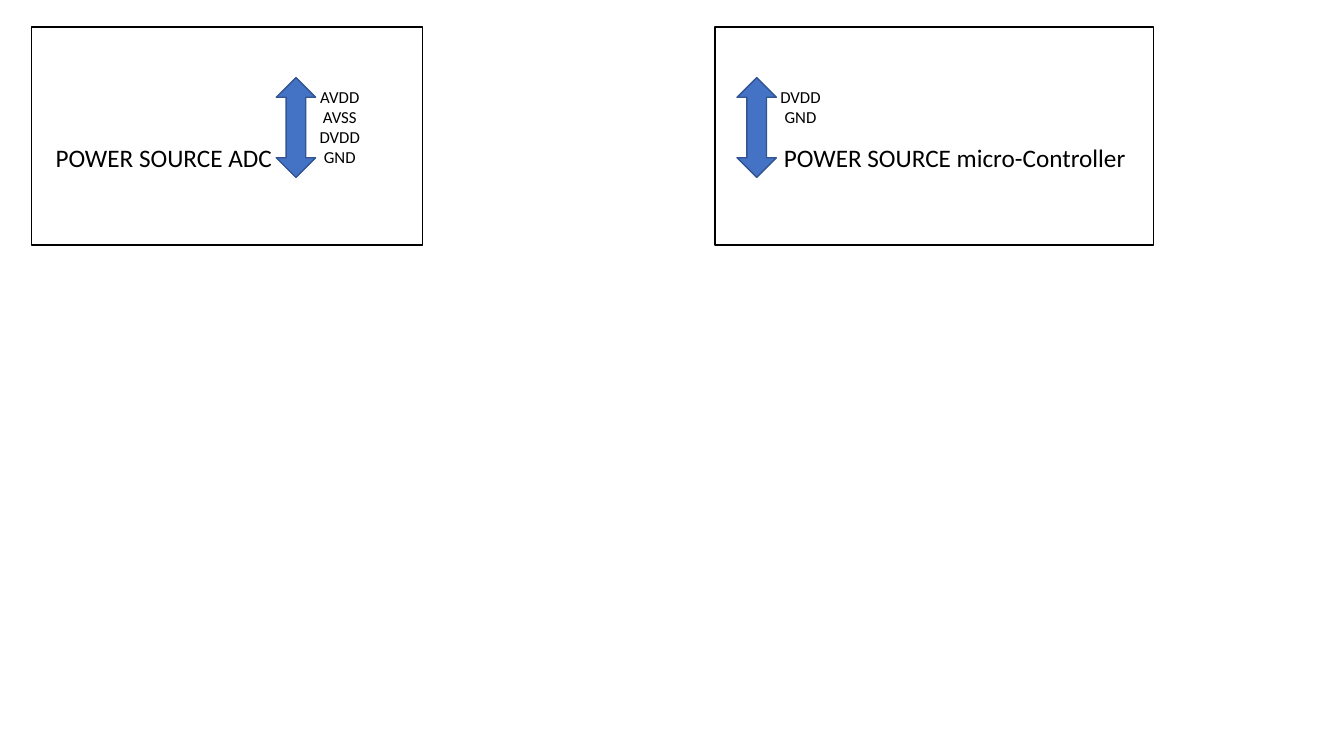
"""Build a slide with two power source blocks and their supply pins."""
from pptx import Presentation
from pptx.dml.color import RGBColor as Rgb
from pptx.enum.shapes import MSO_SHAPE as Shape
from pptx.enum.text import PP_ALIGN as Align
from pptx.util import Inches, Pt

COLORS = {"text": "000000", "frame": "000000", "arrow": "4472C4", "edge": "325491"}
BLOCKS = [
    {"title": "POWER SOURCE micro-Controller", "pins": ["DVDD", "GND"],
     "frame": (7.09, 4.35), "label": (7.5, 3.94), "arrow": 7.01, "pin": 7.48},
    {"title": "POWER SOURCE ADC", "pins": ["AVDD", "AVSS", "DVDD", "GND"],
     "frame": (0.31, 3.88), "label": (0.31, 2.63), "arrow": 2.44, "pin": 2.91},
]


def color(name):
    return Rgb.from_string(COLORS[name])


def add_text(slide, box, lines, size):
    frame = slide.shapes.add_textbox(*map(Inches, box)).text_frame
    frame.word_wrap = True
    for i, line in enumerate(lines):
        para = frame.add_paragraph() if i else frame.paragraphs[0]
        para.alignment = Align.CENTER
        run = para.add_run()
        run.text = line
        run.font.name = "Calibri"
        run.font.size = Pt(size)
        run.font.color.rgb = color("text")


def add_form(slide, kind, box, edge, fill=None):
    form = slide.shapes.add_shape(kind, *map(Inches, box))
    form.shadow.inherit = False
    if fill:
        form.fill.solid()
        form.fill.fore_color.rgb = color(fill)
    else:
        form.fill.background()
    form.line.color.rgb = color(edge)
    form.line.width = Pt(1)
    return form


def main():
    deck = Presentation()
    deck.slide_width, deck.slide_height = Inches(13.33), Inches(7.5)
    slide = deck.slides.add_slide(deck.slide_layouts[6])
    for block in BLOCKS:
        pins = block["pins"]
        high = 0.1 + 0.2 * len(pins)
        add_text(slide, (block["pin"], 0.81, 0.92, high), pins, 12)
        arrow = add_form(slide, Shape.LEFT_RIGHT_ARROW,
                         (block["arrow"], 1.07, 0.99, 0.39), "edge", "arrow")
        arrow.rotation = 90
        left, width = block["label"]
        add_text(slide, (left, 1.36, width, 0.4), [block["title"]], 18)
    for block in BLOCKS:
        left, width = block["frame"]
        add_form(slide, Shape.RECTANGLE, (left, 0.27, width, 2.16), "frame")
    deck.save("out.pptx")


if __name__ == "__main__":
    main()
